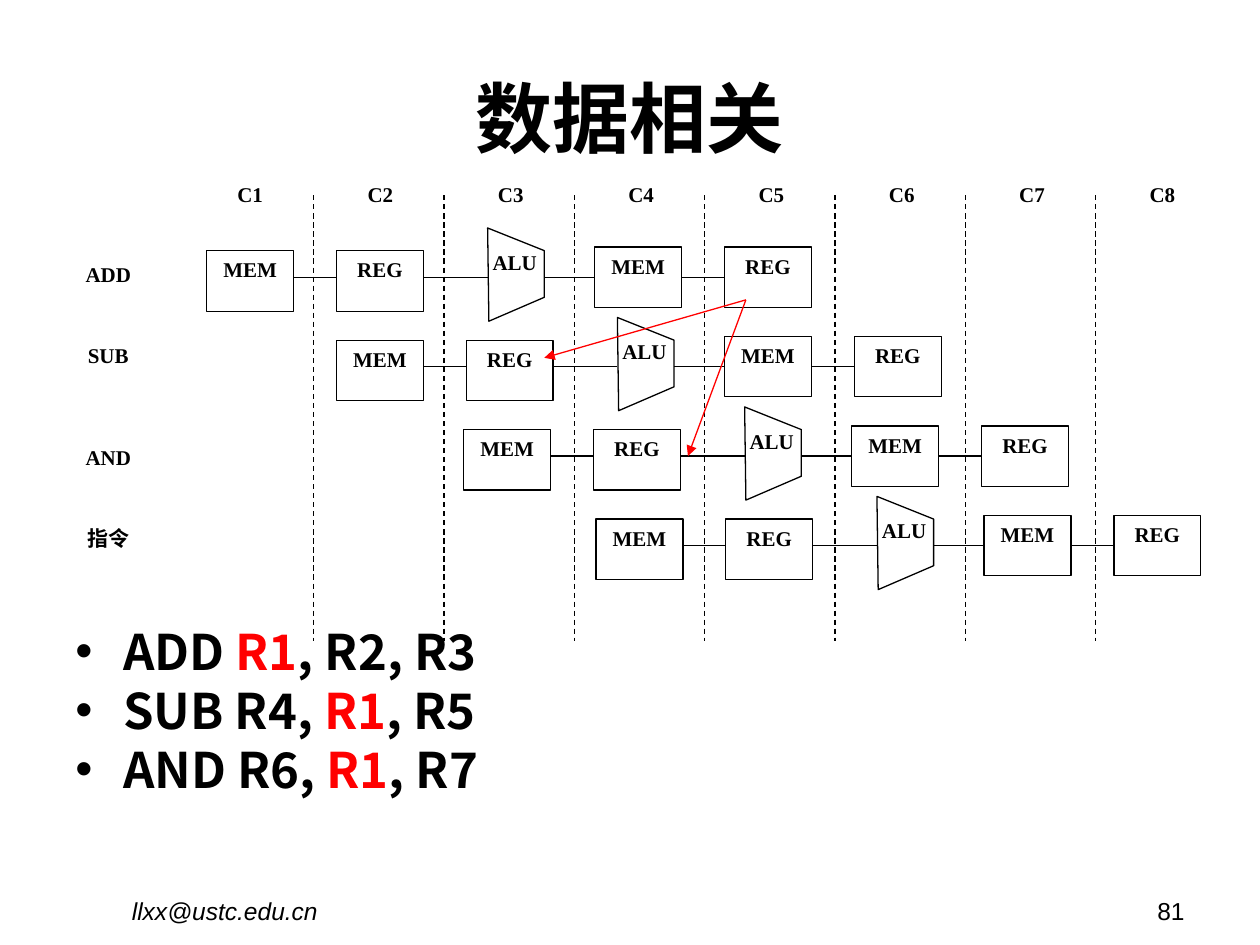
from lxml import etree
from pptx import Presentation
from pptx.dml.color import RGBColor
from pptx.enum.dml import MSO_LINE
from pptx.enum.shapes import MSO_CONNECTOR, MSO_SHAPE
from pptx.enum.text import MSO_ANCHOR, PP_ALIGN
from pptx.oxml.ns import qn
from pptx.util import Inches, Pt

STRAIGHT = MSO_CONNECTOR.STRAIGHT
RECTANGLE = MSO_SHAPE.RECTANGLE
DASH = MSO_LINE.DASH
TOP, MIDDLE = MSO_ANCHOR.TOP, MSO_ANCHOR.MIDDLE
CENTER, RIGHT, JUSTIFY = PP_ALIGN.CENTER, PP_ALIGN.RIGHT, PP_ALIGN.JUSTIFY

BLACK = RGBColor(0x00, 0x00, 0x00)
WHITE = RGBColor(0xFF, 0xFF, 0xFF)
RED = RGBColor(0xFF, 0x00, 0x00)
HEADING_FONT = "Noto Sans CJK SC"
LABEL_FONT = "Times New Roman"
FOOTER_FONT = "Arial"

# Pipeline grid, in inches
CYCLES = 8
LEFT, TOP_ROW = 1.64, 1.99
COLUMN = (8.88 - LEFT) / (CYCLES - 1)
ROW = 0.71
BOX_WIDTH, BOX_HEIGHT = 0.69, 0.48
WIRE = 0.21  # depth of the wires below the top of a row

presentation = Presentation()
presentation.slide_width = Inches(10)
presentation.slide_height = Inches(7.5)
slide = presentation.slides.add_slide(presentation.slide_layouts[5])
shapes = slide.shapes


def add_label(text, x, y, width=BOX_WIDTH, height=BOX_HEIGHT, boxed=False,
              font=LABEL_FONT, size=12, alignment=CENTER):
    bounds = Inches(x), Inches(y), Inches(width), Inches(height)
    if boxed:
        shape = shapes.add_shape(RECTANGLE, *bounds)
        shape.shadow.inherit = False
        shape.fill.solid()
        shape.fill.fore_color.rgb = WHITE
        shape.line.color.rgb = BLACK
        shape.line.width = Pt(0.75)
    else:
        shape = shapes.add_textbox(*bounds)
    frame = shape.text_frame
    frame.word_wrap = True
    frame.vertical_anchor = TOP
    frame.text = text
    paragraph = frame.paragraphs[0]
    paragraph.alignment = alignment
    run_font = paragraph.runs[0].font
    run_font.name, run_font.size = font, Pt(size)
    run_font.bold = font == LABEL_FONT
    run_font.color.rgb = BLACK
    return shape


def add_line(x1, y1, x2, y2, color=BLACK):
    line = shapes.add_connector(STRAIGHT, Inches(x1), Inches(y1), Inches(x2), Inches(y2))
    line.line.color.rgb = color
    line.line.width = Pt(0.75)
    etree.SubElement(line._element.spPr, qn("a:effectLst"))
    return line


# Title
title = shapes.title
title.left, title.top, title.width, title.height = (
    Inches(0.5), Inches(0.3), Inches(9), Inches(1.25))
title.text_frame.text = "数据相关"
title.text_frame.vertical_anchor = MIDDLE
title.text_frame.paragraphs[0].alignment = CENTER
title_run = title.text_frame.paragraphs[0].runs[0]
title_run.font.name, title_run.font.size = HEADING_FONT, Pt(44)
title_run.font.bold = True
title_run.font.color.rgb = BLACK
etree.SubElement(title_run.font._element, qn("a:ea"), typeface=HEADING_FONT)

# Instructions, with the shared register in red
instructions = [("ADD ", "R1", ", R2, R3"), ("SUB R4, ", "R1", ", R5"),
                ("AND R6, ", "R1", ", R7")]
body = shapes.add_textbox(Inches(0.5), Inches(4.92), Inches(9), Inches(1.78))
body.text_frame.word_wrap = True
body.text_frame.margin_top = Inches(0.1)
for index, parts in enumerate(instructions):
    paragraph = body.text_frame.paragraphs[0] if index == 0 else body.text_frame.add_paragraph()
    paragraph.alignment = JUSTIFY
    paragraph.line_spacing = 0.8
    if index:
        paragraph.space_before = Pt(7)
    properties = paragraph._p.get_or_add_pPr()
    properties.set("marL", str(Inches(0.38)))
    properties.set("indent", str(-Inches(0.38)))
    etree.SubElement(properties, qn("a:buFont"), typeface=FOOTER_FONT)
    etree.SubElement(properties, qn("a:buChar"), char="•")
    for part, color in zip(parts, (BLACK, RED, BLACK)):
        run = paragraph.add_run()
        run.text = part
        run.font.name, run.font.size = HEADING_FONT, Pt(28)
        run.font.bold = True
        run.font.color.rgb = color

# Clock cycles and the dashed lines between them
for cycle in range(CYCLES):
    add_label(f"C{cycle + 1}", LEFT + cycle * COLUMN, 1.39)
    if cycle < CYCLES - 1:
        x = 2.49 + cycle * COLUMN
        add_line(x, 1.55, x, 5.09).line.dash_style = DASH

# Pipelines: each instruction starts one cycle later
pipelines = [("ADD", 2.03, 1.64), ("SUB", 2.67, 2.67), ("AND", 3.48, 3.68), ("指令", 4.12, 4.73)]
alu_outline = [(2.24, 0.56), (2.68, 0.37), (2.68, 0), (2.23, -0.18)]
for row, (name, name_top, x) in enumerate(pipelines):
    y = TOP_ROW + row * ROW
    wire_y = y + WIRE
    add_label(name, 0.43, name_top, width=0.86)

    add_label("MEM", x, y, boxed=True)
    add_label("REG", x + 1.03, y, boxed=True)
    memory = add_label("MEM", x + 3.08, y - 0.03, boxed=True)
    write_back = add_label("REG", x + 4.11, y - 0.03, boxed=True)

    points = [(Inches(x + dx), Inches(y + dy)) for dx, dy in alu_outline]
    builder = shapes.build_freeform(*points[0])
    builder.add_line_segments(points[1:], close=True)
    alu = builder.convert_to_shape()
    alu.shadow.inherit = False
    alu.fill.solid()
    alu.fill.fore_color.rgb = WHITE
    alu.line.color.rgb = BLACK
    alu.line.width = Pt(0.75)
    add_label("ALU", x + 2.1, y - 0.06)

    add_line(x + BOX_WIDTH, wire_y, x + 1.03, wire_y)
    add_line(x + 1.03 + BOX_WIDTH, wire_y, x + 2.23, wire_y)
    add_line(x + 2.68, wire_y, x + 3.08, wire_y).end_connect(memory, 1)
    wire = add_line(x + 3.08 + BOX_WIDTH, wire_y, x + 4.11, wire_y)
    wire.begin_connect(memory, 3)
    wire.end_connect(write_back, 1)

# Dependences on the register written by ADD
for end_x, end_y in [(4.32, 2.84), (5.46, 3.62)]:
    arrow = add_line(5.92, 2.38, end_x, end_y, RED)
    etree.SubElement(arrow.line._get_or_add_ln(), qn("a:tailEnd"), type="triangle")

# Footer
email = add_label("llxx@ustc.edu.cn", 0.2, 7.06, 3.17, 0.29, font=FOOTER_FONT, size=14)
email.text_frame.paragraphs[0].runs[0].font.italic = True
add_label("81", 7.17, 7.06, 2.33, 0.29, font=FOOTER_FONT, size=14, alignment=RIGHT)

presentation.save("out.pptx")
